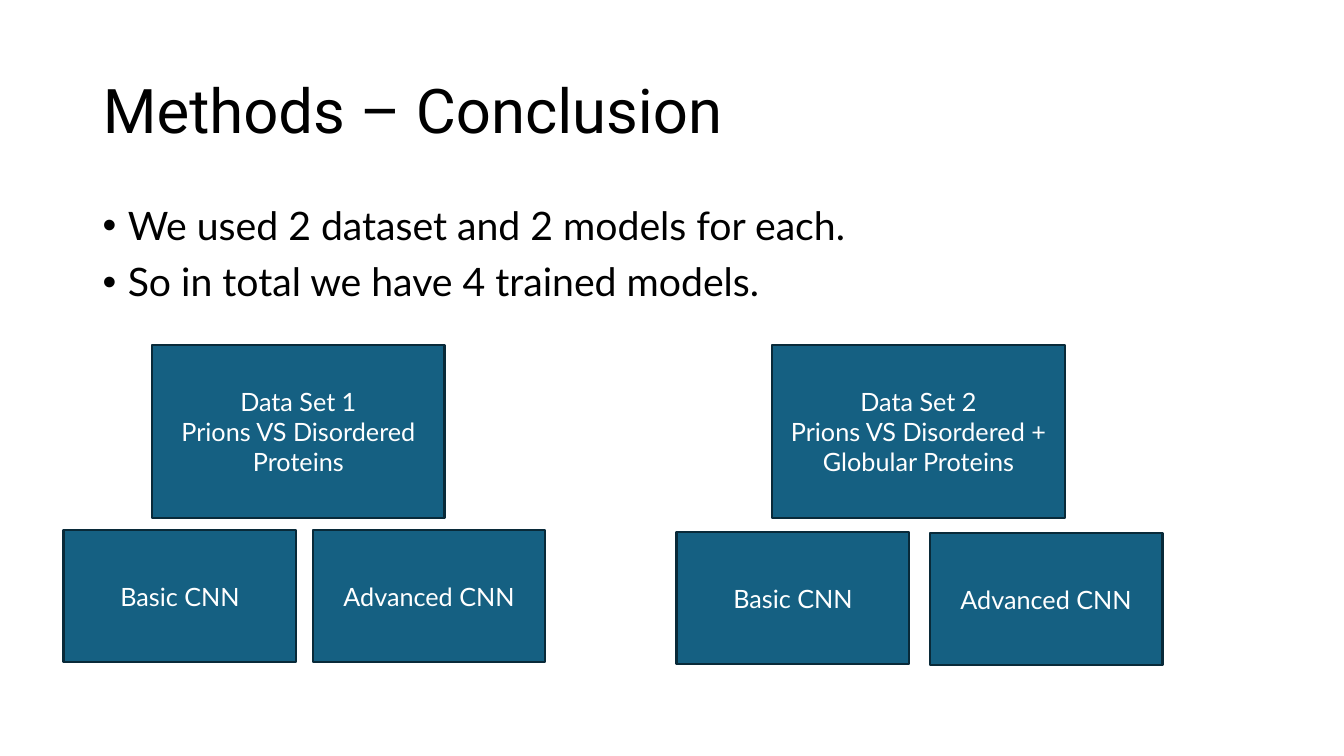
from dataclasses import dataclass

from lxml.etree import SubElement
from pptx import Presentation
from pptx.dml.color import RGBColor
from pptx.enum.shapes import MSO_SHAPE as Preset
from pptx.enum.text import MSO_ANCHOR as Anchor, MSO_AUTO_SIZE as AutoSize, PP_ALIGN as Align
from pptx.oxml.ns import qn
from pptx.slide import Slide
from pptx.text.text import _Paragraph as Paragraph
from pptx.util import Emu, Pt

EMU_PER_PX = 9144  # 100 px to the inch


def px(length: int) -> Emu:
    return Emu(length * EMU_PER_PX)


@dataclass(frozen=True)
class Theme:
    text: RGBColor = RGBColor(0x00, 0x00, 0x00)
    box_text: RGBColor = RGBColor(0xFF, 0xFF, 0xFF)
    box_fill: RGBColor = RGBColor(0x15, 0x60, 0x82)
    box_line: RGBColor = RGBColor(0x09, 0x2A, 0x39)
    title_font: str = "Roboto"
    body_font: str = "Lato"
    title_size: int = 44
    body_size: int = 28
    box_size: int = 18


THEME = Theme()


@dataclass(frozen=True)
class Box:
    text: str
    left: int
    top: int
    width: int
    height: int


def dataset_box(text: str, left: int) -> Box:
    return Box(text, left, 342, 290, 172)


def model_box(text: str, left: int, top: int) -> Box:
    return Box(text, left, top, 231, 131)


TITLE = Box("Methods – Conclusion", 92, 40, 1150, 145)
BODY = Box(
    "We used 2 dataset and 2 models for each.\nSo in total we have 4 trained models.",
    92, 200, 1150, 476,
)
BOXES = [
    dataset_box("Data Set 1\nPrions VS Disordered Proteins", 151),
    dataset_box("Data Set 2\nPrions VS Disordered + Globular Proteins", 766),
    model_box("Basic CNN", 63, 526),
    model_box("Advanced CNN", 310, 526),
    model_box("Basic CNN", 671, 528),
    model_box("Advanced CNN", 922, 529),
]


def frame(box: Box) -> tuple[Emu, Emu, Emu, Emu]:
    return px(box.left), px(box.top), px(box.width), px(box.height)


def style(paragraph: Paragraph, font_name: str, size: int, color: RGBColor) -> None:
    paragraph.font.name = font_name
    paragraph.font.size = Pt(size)
    paragraph.font.color.rgb = color


def add_title(slide: Slide, box: Box) -> None:
    title = slide.shapes.title
    title.left, title.top, title.width, title.height = frame(box)
    text_frame = title.text_frame
    text_frame.auto_size = AutoSize.NONE
    text_frame.vertical_anchor = Anchor.MIDDLE
    paragraph = text_frame.paragraphs[0]
    paragraph.text = box.text
    paragraph.alignment = Align.LEFT
    paragraph.line_spacing = 0.9
    style(paragraph, THEME.title_font, THEME.title_size, THEME.text)


def add_bullet(paragraph: Paragraph, indent: int) -> None:
    properties = paragraph._p.get_or_add_pPr()
    properties.set("marL", str(px(indent)))
    properties.set("indent", str(px(-indent)))
    SubElement(properties, qn("a:buFont"), typeface="Arial")
    SubElement(properties, qn("a:buChar"), char="•")


def add_bullet_list(slide: Slide, box: Box) -> None:
    text_frame = slide.shapes.add_textbox(*frame(box)).text_frame
    text_frame.word_wrap = True
    text_frame.text = box.text
    for index, paragraph in enumerate(text_frame.paragraphs):
        paragraph.line_spacing = 0.9
        if index:
            paragraph.space_before = Pt(10)
        add_bullet(paragraph, 25)
        style(paragraph, THEME.body_font, THEME.body_size, THEME.text)


def add_box(slide: Slide, box: Box) -> None:
    shape = slide.shapes.add_shape(Preset.RECTANGLE, *frame(box))
    shape.shadow.inherit = False
    shape.fill.solid()
    shape.fill.fore_color.rgb = THEME.box_fill
    shape.line.color.rgb = THEME.box_line
    shape.line.width = Pt(1.5)
    shape.text_frame.word_wrap = True
    shape.text_frame.vertical_anchor = Anchor.MIDDLE
    paragraph = shape.text_frame.paragraphs[0]
    paragraph.text = box.text
    paragraph.alignment = Align.CENTER
    style(paragraph, THEME.body_font, THEME.box_size, THEME.box_text)


def main() -> None:
    presentation = Presentation()
    presentation.slide_width, presentation.slide_height = px(1333), px(750)
    title_only = presentation.slide_layouts[5]
    slide = presentation.slides.add_slide(title_only)

    # Heading and summary
    add_title(slide, TITLE)
    add_bullet_list(slide, BODY)

    # Data sets, each with its two models
    for box in BOXES:
        add_box(slide, box)

    presentation.save("out.pptx")


if __name__ == "__main__":
    main()
